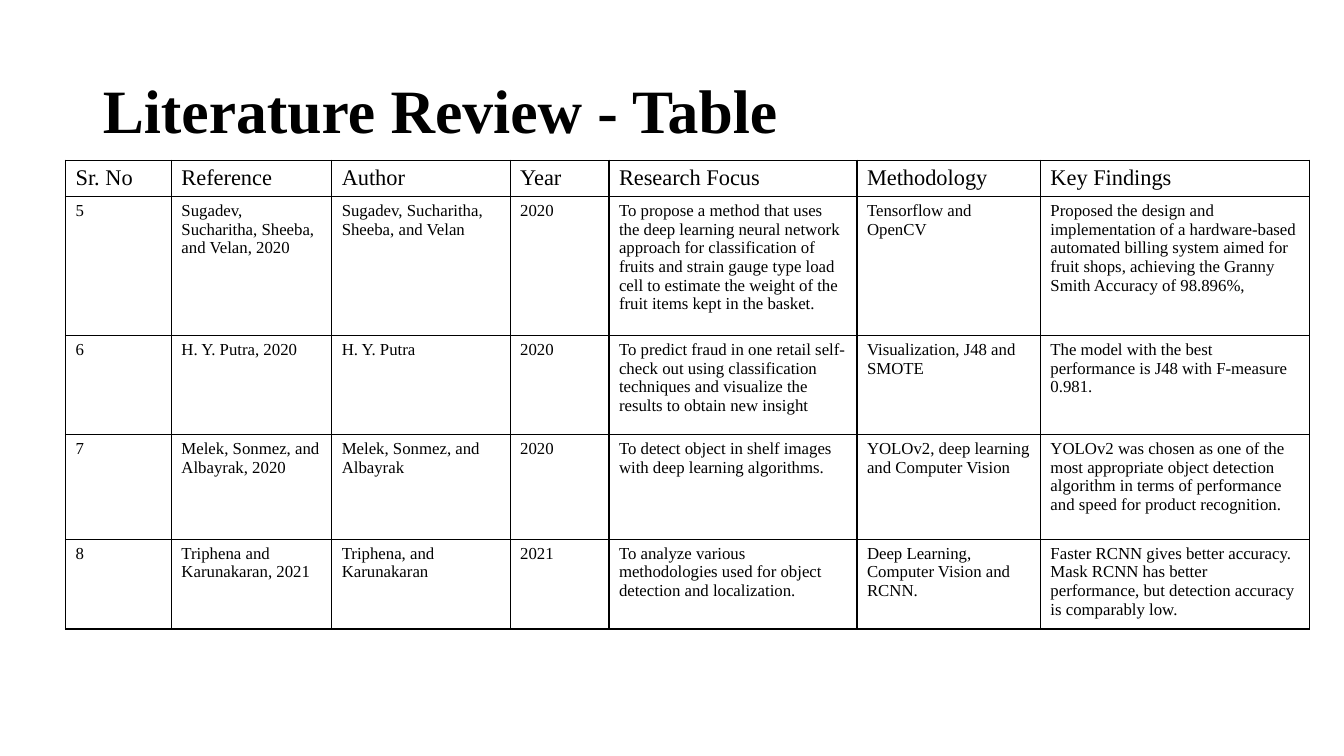
from dataclasses import dataclass

from lxml.etree import SubElement
from pptx import Presentation
from pptx.dml.color import RGBColor
from pptx.enum.text import MSO_ANCHOR
from pptx.oxml.ns import qn
from pptx.util import Inches, Pt


@dataclass(frozen=True)
class Theme:
    font: str = "Times New Roman"
    ink: str = "000000"
    paper: str = "FFFFFF"
    title_size: int = 44
    header_size: int = 16
    body_size: int = 12
    border_width: int = 1


THEME = Theme()

COLUMN_WIDTHS = [1.05, 1.59, 1.77, 0.98, 2.46, 1.82, 2.67]
ROW_HEIGHTS = [0.36, 1.38, 0.98, 1.04, 0.89]

LITERATURE = [
    ["Sr. No", "Reference", "Author", "Year", "Research Focus", "Methodology",
     "Key Findings"],
    ["5", "Sugadev, Sucharitha, Sheeba, and Velan, 2020",
     "Sugadev, Sucharitha, Sheeba, and Velan", "2020",
     "To propose a method that uses the deep learning neural network approach "
     "for classification of fruits and strain gauge type load cell to estimate "
     "the weight of the fruit items kept in the basket.",
     "Tensorflow and OpenCV",
     "Proposed the design and implementation of a hardware-based automated "
     "billing system aimed for fruit shops, achieving the Granny Smith "
     "Accuracy of 98.896%,"],
    ["6", "H. Y. Putra, 2020", "H. Y. Putra", "2020",
     "To predict fraud in one retail self- check out using classification "
     "techniques and visualize the results to obtain new insight",
     "Visualization, J48 and SMOTE",
     "The model with the best performance is J48 with F-measure 0.981."],
    ["7", "Melek, Sonmez, and Albayrak, 2020", "Melek, Sonmez, and Albayrak",
     "2020",
     "To detect object in shelf images with deep learning algorithms.",
     "YOLOv2, deep learning and Computer Vision",
     "YOLOv2 was chosen as one of the most appropriate object detection "
     "algorithm in terms of performance and speed for product recognition."],
    ["8", "Triphena and Karunakaran, 2021", "Triphena, and Karunakaran", "2021",
     "To analyze various methodologies used for object detection and "
     "localization.",
     "Deep Learning, Computer Vision and RCNN.",
     "Faster RCNN gives better accuracy. Mask RCNN has better performance, but "
     "detection accuracy is comparably low."],
]


def write_text(text_frame, text, size, bold=False):
    text_frame.text = text
    font = text_frame.paragraphs[0].runs[0].font
    font.name = THEME.font
    font.size = Pt(size)
    font.bold = bold
    font.color.rgb = RGBColor.from_string(THEME.ink)


def add_borders(cell):
    """Draw all four edges; they must precede the fill in the cell properties."""
    properties = cell._tc.get_or_add_tcPr()
    for edge in ("a:lnL", "a:lnR", "a:lnT", "a:lnB"):
        line = SubElement(properties, qn(edge), w=str(Pt(THEME.border_width)))
        fill = SubElement(line, qn("a:solidFill"))
        SubElement(fill, qn("a:srgbClr"), val=THEME.ink)


def place_title(slide, text):
    title = slide.shapes.title
    title.left, title.top = Inches(0.92), Inches(0.4)
    title.width, title.height = Inches(11.5), Inches(1.45)
    title.text_frame.vertical_anchor = MSO_ANCHOR.MIDDLE
    write_text(title.text_frame, text, THEME.title_size, bold=True)
    heading = title.text_frame.paragraphs[0]
    heading.line_spacing = 0.9
    heading.alignment = 1


def add_literature_table(slide):
    table = slide.shapes.add_table(
        len(ROW_HEIGHTS), len(COLUMN_WIDTHS), Inches(0.65), Inches(1.59),
        Inches(sum(COLUMN_WIDTHS)), Inches(sum(ROW_HEIGHTS))).table
    table.horz_banding = False
    for column, width in zip(table.columns, COLUMN_WIDTHS):
        column.width = Inches(width)
    for index, (row, height) in enumerate(zip(table.rows, ROW_HEIGHTS)):
        row.height = Inches(height)
        size = THEME.body_size if index else THEME.header_size
        for cell, text in zip(row.cells, LITERATURE[index]):
            write_text(cell.text_frame, text, size)
            add_borders(cell)
            cell.fill.solid()
            cell.fill.fore_color.rgb = RGBColor.from_string(THEME.paper)


def main():
    presentation = Presentation()
    presentation.slide_width = Inches(13.33)
    presentation.slide_height = Inches(7.5)
    slide = presentation.slides.add_slide(presentation.slide_layouts[5])
    place_title(slide, "Literature Review - Table")
    add_literature_table(slide)
    presentation.save("out.pptx")


if __name__ == "__main__":
    main()
